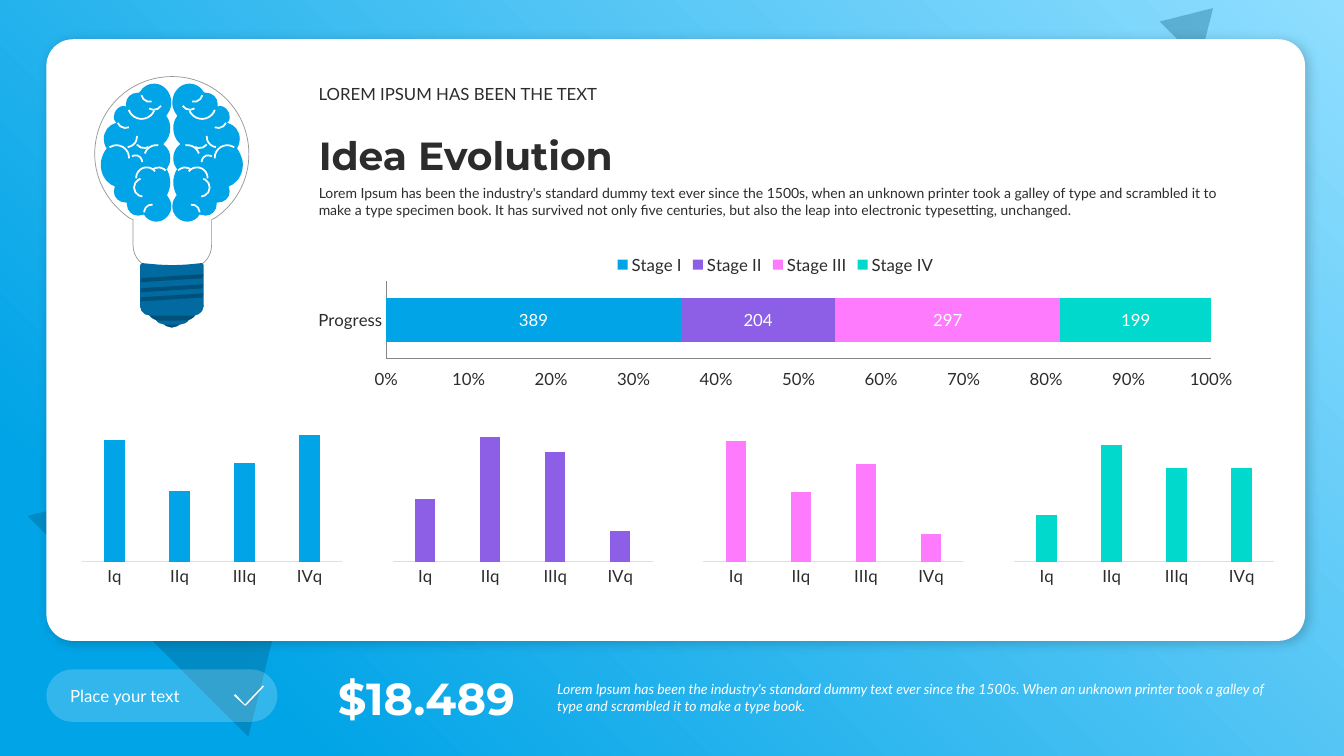
import pptx
import pptx.util
import pptx.oxml
import pptx.oxml.ns
import pptx.dml.color
import pptx.chart.data
import pptx.enum.chart
import pptx.enum.shapes
import pptx.enum.text

KIND = pptx.enum.shapes.MSO_SHAPE
CHART = pptx.enum.chart
ALIGN = pptx.enum.text.PP_ALIGN
ANCHOR = pptx.enum.text.MSO_ANCHOR
SPACE = 'xmlns:a="http://schemas.openxmlformats.org/drawingml/2006/main" ' \
        'xmlns:c="http://schemas.openxmlformats.org/drawingml/2006/chart"'
WHITE, INK, BLUE, DEEP, DARK = "FFFFFF", "2C2C2C", "01A4E7", "016AA1", "015079"
STAGES = [("Stage I", 389, BLUE, (96, 56, 78, 100), 111),
          ("Stage II", 204, "8D5FE6", (50, 100, 88, 25), 112.5),
          ("Stage III", 297, "FD7BFC", (100, 58, 81, 23), 116.3),
          ("Stage IV", 199, "01D9CC", (40, 100, 80, 80), 120)]
MIDDLE = 341
GLASS = [(171, 76), (213, 76, 247, 110, 247, 153), (247, 179, 234, 202, 214, 216),
         (210, 218), (210, 243), (210, 256, 200, 266, 188, 266), (154, 266),
         (142, 266, 132, 256, 132, 243), (132, 218), (128, 216),
         (108, 202, 94, 179, 94, 153), (94, 110, 128, 76, 171, 76)]
BRAIN = [(153, 83), (162, 83, 170, 91, 170, 102), (170, 105, 169, 109, 167, 112),
         (165, 115), (168, 119, 169, 123, 169, 127), (169, 133, 167, 138, 163, 142),
         (162, 143), (163, 144), (167, 147, 169, 152, 169, 157),
         (169, 161, 168, 164, 166, 167), (165, 168), (166, 169),
         (168, 173, 169, 177, 169, 181), (169, 185, 168, 189, 166, 193), (165, 194),
         (166, 194), (168, 197, 170, 200, 170, 205), (170, 213, 163, 220, 155, 220),
         (150, 220, 145, 217, 143, 213), (142, 213), (140, 214, 139, 214, 137, 214),
         (131, 214, 126, 209, 126, 203), (126, 201), (125, 201),
         (118, 201, 113, 196, 113, 190), (113, 188, 113, 187, 114, 185), (110, 183),
         (104, 179, 100, 172, 100, 163), (100, 158, 102, 154, 104, 150), (106, 147),
         (105, 146), (104, 144, 103, 141, 103, 138), (103, 130, 108, 124, 115, 122),
         (116, 122), (114, 120), (113, 119, 113, 117, 113, 116),
         (113, 110, 118, 105, 123, 105), (125, 106), (125, 103),
         (125, 97, 130, 92, 137, 92), (138, 92), (139, 91),
         (142, 86, 147, 83, 153, 83)]
BASE = [(139, 263), (139, 262, 140, 261, 141, 261), (151, 262, 160, 263, 171, 263),
        (182, 263, 191, 262, 200, 261), (201, 261, 202, 262, 202, 263), (202, 304),
        (202, 305, 201, 306, 200, 306), (141, 306), (140, 306, 139, 305, 139, 304)]
TICK = [(262, 681), (261, 680), (243, 699), (234, 689), (233, 689),
        (232, 690), (243, 700), (244, 700)]
FOLDS = [(144, 92, 17, 122.3, 162, 0), (140, 84, 17, 167.1, 162, 0),
         (127, 91, 27, 167.1, 130.12, 211.95), (103, 144, 25, 167.1, 41.6, 117.24),
         (128, 154, 13, 167.1, 41.6, 117.24), (116, 110, 17, 156.5, 162, 0),
         (149, 166, 17, 126.4, 63.03, 117.24), (135, 166, 21, 126.4, 30.97, 117.24),
         (143, 203, 15, 126.4, 30.97, 90.77), (143, 144, 24, 158.8, 23.82, 72.33),
         (133, 177, 18, 58.3, 21.7, 117.24), (134, 129, 18, 21.9, 23.82, 72.33),
         (115, 125, 21, 110.9, 147.33, 199.6)]


def cm(*sizes):
    return [pptx.util.Cm(size) for size in sizes]


def grid(*steps):
    return [step * 2.54 / 100 for step in steps]


def node(text):
    return pptx.oxml.parse_xml(text.replace(">", f" {SPACE}>", 1))


def hue(code):
    return pptx.dml.color.RGBColor.from_string(code)


def paint(shape, fill=None, alpha=100, line=None, width=1.25):
    shape.shadow.inherit = False
    if fill:
        shape.fill.solid()
        shape.fill.fore_color.rgb = hue(fill)
        if alpha < 100:
            clear = node(f'<a:alpha val="{alpha * 1000}"></a:alpha>')
            shape.fill._xPr.find(".//" + pptx.oxml.ns.qn("a:srgbClr")).append(clear)
    else:
        shape.fill.background()
    if line:
        shape.line.color.rgb = hue(line)
        shape.line.width = pptx.util.Pt(width)
    else:
        shape.line.fill.background()


def form(home, kind, box, turn=0, adjust=(), **look):
    shape = home.add_shape(kind, *cm(*box))
    shape.rotation = turn
    for spot, value in enumerate(adjust):
        shape.adjustments[spot] = value
    paint(shape, **look)
    return shape


def trace(home, curves, flip=False, **look):
    def place(dot):
        return cm(*grid(MIDDLE - dot[0] if flip else dot[0], dot[1]))

    ends = [place(curve[-2:]) for curve in curves]
    pen = home.build_freeform(*ends[0])
    pen.add_line_segments(ends[1:], close=True)
    shape = pen.convert_to_shape()
    route = shape._element.spPr.find(".//" + pptx.oxml.ns.qn("a:path"))
    for curve, old in zip(curves, list(route)):
        if len(curve) == 6:
            dots = [place(curve[k:k + 2]) for k in (0, 2, 4)]
            marks = "".join(f'<a:pt x="{x - shape.left}" y="{y - shape.top}"/>' for x, y in dots)
            route.replace(old, node(f"<a:cubicBezTo>{marks}</a:cubicBezTo>"))
    paint(shape, **look)


def write(shape, box, text, size, color=WHITE, face="Lato", bold=False, slant=False,
          align=ALIGN.LEFT, anchor=ANCHOR.MIDDLE, after=0):
    shape.left, shape.top, shape.width, shape.height = cm(*box)
    frame = shape.text_frame
    frame.word_wrap = True
    frame.auto_size = pptx.enum.text.MSO_AUTO_SIZE.NONE
    frame.vertical_anchor = anchor
    line = frame.paragraphs[0]
    line.alignment = align
    line.space_before = pptx.util.Pt(0)
    line.space_after = pptx.util.Pt(after)
    run = line.add_run()
    run.text = text
    run.font.size = pptx.util.Pt(size)
    run.font.name = face
    run.font.bold, run.font.italic = bold, slant
    run.font.color.rgb = hue(color)


def label(home, box, *words, **look):
    write(home.add_textbox(*cm(*box)), box, *words, **look)


def backdrop(home):
    sky = form(home, KIND.RECTANGLE, (0, 0, 33.87, 19.05))
    blank = sky._element.spPr.find(pptx.oxml.ns.qn("a:noFill"))
    sky._element.spPr.replace(blank, node(
        '<a:gradFill rotWithShape="1"><a:gsLst><a:gs pos="0"><a:srgbClr val="90DEFF"/></a:gs>'
        f'<a:gs pos="85000"><a:srgbClr val="{BLUE}"/></a:gs></a:gsLst><a:path path="circle">'
        '<a:fillToRect l="100000" b="100000"/></a:path></a:gradFill>'))
    for box in ((1.85, 10.21, 7.87, 6.53), (29.44, 0.03, 1.42, 1.19)):
        form(home, KIND.ISOSCELES_TRIANGLE, box, 45, fill="005274", alpha=30)
    card = form(home, KIND.ROUNDED_RECTANGLE, (1.17, 0.99, 31.72, 15.16),
                adjust=[0.044], fill=WHITE)
    card._element.spPr.find(pptx.oxml.ns.qn("a:effectLst")).append(node(
        '<a:outerShdw blurRad="101600" dist="38100" dir="2700000" algn="tl" rotWithShape="0">'
        '<a:srgbClr val="000000"><a:alpha val="20000"/></a:srgbClr></a:outerShdw>'))


def bulb(home):
    trace(home, GLASS, fill=WHITE, line="969696", width=0.5)
    for flip in (False, True):
        trace(home, BRAIN, flip, fill=BLUE)
        for x, y, size, turn, start, end in FOLDS:
            left = MIDDLE - x - size if flip else x
            fold = form(home, KIND.ARC, grid(left, y, size, size),
                        360 - turn if flip else turn, (start, end), line=WHITE)
            if flip:
                fold._element.spPr.xfrm.set("flipH", "1")
    for box, fill in (((160, 305, 21, 20), DARK), ((153, 302, 36, 20), DEEP),
                      ((146, 294, 50, 24), DARK), ((139, 294, 63, 19), DEEP)):
        form(home, KIND.ROUNDED_RECTANGLE, grid(*box), adjust=[0.5], fill=fill)
    trace(home, BASE, fill=DEEP)
    for y in (274, 284, 293):
        form(home, KIND.PARALLELOGRAM, grid(139, y, 63, 4), 356.4, [0.311], fill=DARK)


def graph(home, kind, box, names, rows, gap, lap):
    data = pptx.chart.data.CategoryChartData()
    data.categories = names
    for name, values, color in rows:
        data.add_series(name, values)
    chart = home.add_chart(kind, *cm(*box), data).chart
    chart.has_title = chart.has_legend = False
    chart.font.name = "Lato"
    chart.font.size = pptx.util.Pt(12)
    chart.font.color.rgb = hue(INK)
    plot = chart.plots[0]
    plot.vary_by_categories = False
    plot.gap_width, plot.overlap = gap, lap
    for series, row in zip(plot.series, rows):
        series.format.fill.solid()
        series.format.fill.fore_color.rgb = hue(row[2])
    for axis in (chart.category_axis, chart.value_axis):
        axis.has_major_gridlines = False
        axis.major_tick_mark = axis.minor_tick_mark = CHART.XL_TICK_MARK.NONE
        axis.format.line.width = pptx.util.Pt(0.75)
    return chart


def inset(chart, *inner):
    area = chart._chartSpace.chart.plotArea
    for old in area.findall(pptx.oxml.ns.qn("c:layout")):
        area.remove(old)
    sides = "".join(f'<c:{k} val="{v}"/>' for k, v in zip("xywh", inner))
    area.insert(0, node(
        '<c:layout><c:manualLayout><c:layoutTarget val="inner"/><c:xMode val="edge"/>'
        f'<c:yMode val="edge"/>{sides}</c:manualLayout></c:layout>'))


def columns(home):
    for place, (name, total, color, values, top) in enumerate(STAGES):
        chart = graph(home, CHART.XL_CHART_TYPE.COLUMN_CLUSTERED,
                      (1.93 + 7.83 * place, 10.05, 6.9, 5.63), ["Iq", "IIq", "IIIq", "IVq"],
                      [("Series 1", values, color)], 219, -27)
        inset(chart, 0.02, 0.1, 0.95, 0.63)
        chart.category_axis.format.line.color.rgb = hue("DFDFDF")
        chart.value_axis.minimum_scale, chart.value_axis.maximum_scale = 0, top
        chart.value_axis.visible = False


def progress(home):
    rows = [(name, [total], color) for name, total, color, values, top in STAGES]
    chart = graph(home, CHART.XL_CHART_TYPE.BAR_STACKED_100, (7.54, 6.13, 24, 3.73),
                  ["Progress"], rows, 75, 100)
    for axis in (chart.category_axis, chart.value_axis):
        axis.format.line.color.rgb = hue("868686")
    ticks = chart.value_axis.tick_labels
    ticks.number_format, ticks.number_format_is_linked = "0%", False
    chart.value_axis.tick_label_position = CHART.XL_TICK_LABEL_POSITION.LOW
    chart.value_axis.major_unit = 0.1
    chart.has_legend = True
    chart.legend.position = CHART.XL_LEGEND_POSITION.TOP
    chart.legend.include_in_layout = False
    for series in chart.plots[0].series:
        marks = series.data_labels
        marks.show_value = True
        marks.font.size = pptx.util.Pt(12)
        marks.font.color.rgb = hue(WHITE)


def header(slide):
    home = slide.shapes
    title, body = home.title, slide.placeholders[1]
    for holder in (body, title):
        home._spTree.append(holder._element)
    write(body, (7.78, 4.52, 23.75, 1.12), "Lorem Ipsum has been the industry's standard dummy text ever since the 1500s, when an unknown printer took a galley of type and scrambled it to make a type specimen book. It has survived not only five centuries, but also the leap into electronic typesetting, unchanged.", 10, INK, anchor=ANCHOR.TOP, after=6)
    plain = body.text_frame.paragraphs[0]._p.get_or_add_pPr()
    plain.set("marL", "0")
    plain.set("indent", "0")
    plain.append(node("<a:buNone></a:buNone>"))
    write(title, (7.78, 3.18, 23.75, 1.45), "Idea Evolution", 28, INK, "Montserrat", True,
          anchor=ANCHOR.BOTTOM)
    label(home, (7.78, 1.98, 23.75, 0.76), "LOREM IPSUM HAS BEEN THE TEXT", 12, INK,
          anchor=ANCHOR.BOTTOM)


def footer(home):
    pill = home.add_group_shape().shapes
    form(pill, KIND.ROUNDED_RECTANGLE, (1.17, 16.87, 5.82, 1.32), adjust=[0.5],
         fill=WHITE, alpha=20)
    trace(pill, TICK, fill=WHITE)
    label(pill, (1.52, 17.15, 4.78, 0.76), "Place your text", 12)
    label(home, (8.1, 16.76, 5.13, 1.63), "$18.489", 32, face="Montserrat", bold=True,
          align=ALIGN.RIGHT)
    label(home, (13.79, 17.02, 18.62, 1.12), "Lorem Ipsum has been the industry's standard dummy text ever since the 1500s. When an unknown printer took a galley of type and scrambled it to make a type book.", 10, slant=True, after=6)


def main():
    deck = pptx.Presentation()
    deck.slide_width, deck.slide_height = cm(33.87, 19.05)
    slide = deck.slides.add_slide(deck.slide_layouts[1])
    home = slide.shapes
    backdrop(home)
    footer(home)
    bulb(home.add_group_shape().shapes)
    header(slide)
    columns(home)
    progress(home)
    deck.save("out.pptx")


if __name__ == "__main__":
    main()
